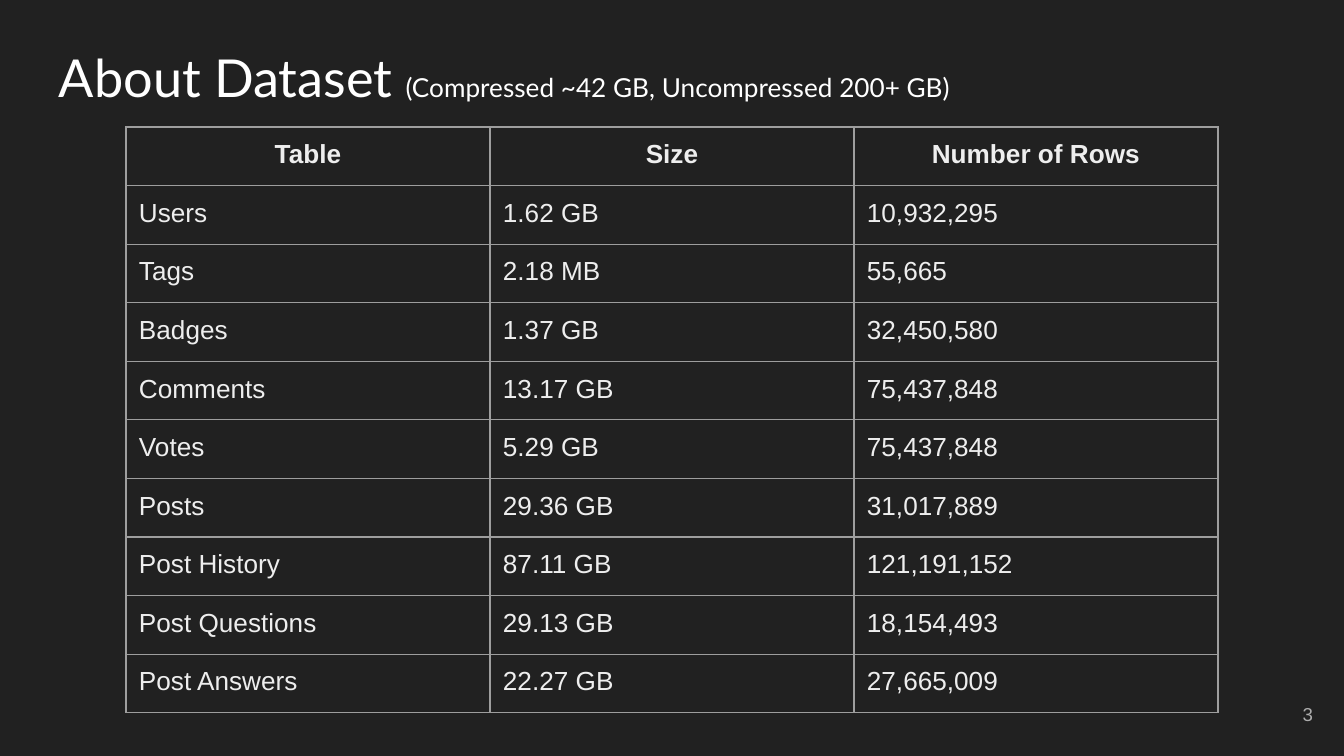
from lxml import etree
from pptx import Presentation
from pptx import util as u
from pptx.dml.color import RGBColor
from pptx.enum import text
from pptx.oxml.ns import qn

EMU_PER_PX = 914400 / 134.4

BACKGROUND = RGBColor(0x21, 0x21, 0x21)
WHITE = RGBColor(0xFF, 0xFF, 0xFF)
CELL_TEXT = RGBColor(0xEE, 0xEE, 0xEE)
PAGE_TEXT = RGBColor(0xAD, 0xAD, 0xAD)
BORDER = RGBColor(0x9E, 0x9E, 0x9E)

INSET = 13
HEADER = ("Table", "Size", "Number of Rows")
DATASET = [
    ("Users", "1.62 GB", "10,932,295"),
    ("Tags", "2.18 MB", "55,665"),
    ("Badges", "1.37 GB", "32,450,580"),
    ("Comments", "13.17 GB", "75,437,848"),
    ("Votes", "5.29 GB", "75,437,848"),
    ("Posts", "29.36 GB", "31,017,889"),
    ("Post History", "87.11 GB", "121,191,152"),
    ("Post Questions", "29.13 GB", "18,154,493"),
    ("Post Answers", "22.27 GB", "27,665,009"),
]


def px(length):
    return u.Emu(round(length * EMU_PER_PX))


def set_insets(holder):
    """Give a text frame or a table cell the same margin on every side."""
    holder.margin_left = holder.margin_right = px(INSET)
    holder.margin_top = holder.margin_bottom = px(INSET)


def add_run(paragraph, words, size, color, font="Arial", bold=False):
    run = paragraph.add_run()
    run.text = words
    run.font.name = font
    run.font.size = u.Pt(size)
    run.font.bold = bold
    run.font.color.rgb = color


def set_borders(cell, color, width):
    """Draw all four cell borders; they must precede the fill in tcPr."""
    properties = cell._tc.get_or_add_tcPr()
    for index, side in enumerate(("lnL", "lnR", "lnT", "lnB")):
        line = etree.Element(qn(f"a:{side}"), w=str(u.Pt(width)))
        fill = etree.SubElement(line, qn("a:solidFill"))
        etree.SubElement(fill, qn("a:srgbClr"), val=str(color))
        properties.insert(index, line)


def add_title(slide, left, top, width, height):
    title = slide.shapes.title
    title.left, title.top = px(left), px(top)
    title.width, title.height = px(width), px(height)
    frame = title.text_frame
    frame.auto_size = text.MSO_AUTO_SIZE.NONE
    frame.vertical_anchor = text.MSO_ANCHOR.TOP
    set_insets(frame)
    paragraph = frame.paragraphs[0]
    paragraph.alignment = text.PP_ALIGN.LEFT
    paragraph.line_spacing = 1.0
    add_run(paragraph, "About Dataset ", 28, WHITE, "Lato")
    add_run(paragraph, "(Compressed ~42 GB, Uncompressed 200+ GB)", 14, WHITE, "Lato")


def add_page_number(slide, left, top, width, height):
    box = slide.shapes.add_textbox(px(left), px(top), px(width), px(height))
    frame = box.text_frame
    frame.word_wrap = True
    frame.vertical_anchor = text.MSO_ANCHOR.MIDDLE
    set_insets(frame)
    paragraph = frame.paragraphs[0]
    paragraph.alignment = text.PP_ALIGN.RIGHT
    add_run(paragraph, "3", 10, PAGE_TEXT)


def add_dataset_table(slide, left, top, width, height):
    rows = [HEADER, *DATASET]
    table = slide.shapes.add_table(
        len(rows), len(HEADER), px(left), px(top), px(width), px(height)
    ).table
    table.horz_banding = False
    for column in table.columns:
        column.width = px(width / len(HEADER))
    for row_index, values in enumerate(rows):
        is_header = row_index == 0
        table.rows[row_index].height = px(height / len(rows))
        for column_index, value in enumerate(values):
            cell = table.cell(row_index, column_index)
            set_insets(cell)
            cell.fill.background()
            set_borders(cell, BORDER, 0.75)
            paragraph = cell.text_frame.paragraphs[0]
            paragraph.alignment = (
                text.PP_ALIGN.CENTER if is_header else text.PP_ALIGN.LEFT
            )
            add_run(paragraph, value, 14, CELL_TEXT, bold=is_header)


def main():
    presentation = Presentation()
    presentation.slide_width, presentation.slide_height = px(1344), px(756)
    title_only = presentation.slide_layouts[5]
    slide = presentation.slides.add_slide(title_only)
    slide.background.fill.solid()
    slide.background.fill.fore_color.rgb = BACKGROUND

    add_title(slide, 46, 32, 1252, 85)
    add_page_number(slide, 1245, 685, 81, 58)
    add_dataset_table(slide, 126, 127, 1092, 586)
    presentation.save("out.pptx")


if __name__ == "__main__":
    main()
